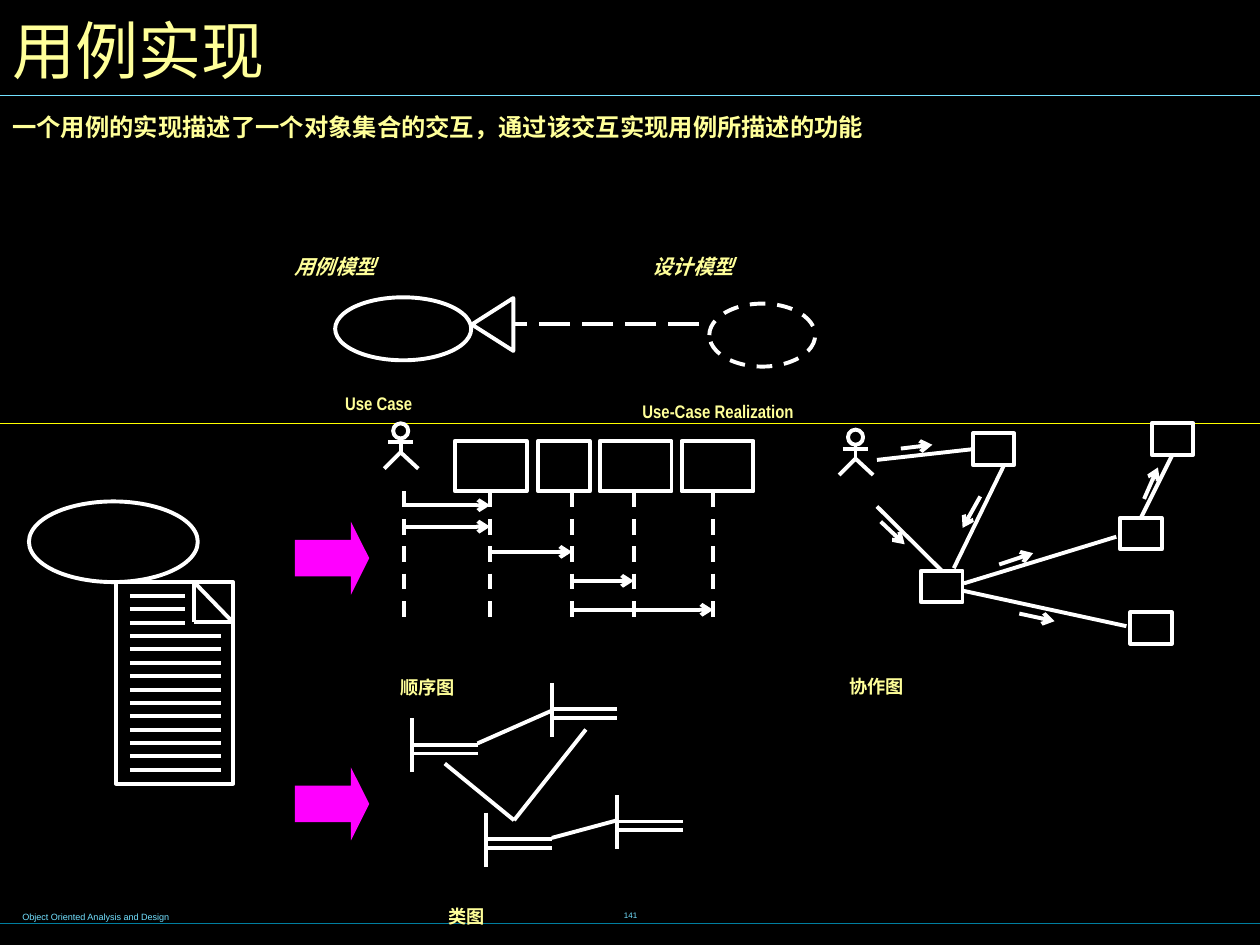
from dataclasses import dataclass

from lxml.etree import SubElement
from pptx import Presentation
from pptx.dml.color import RGBColor as RGB
from pptx.enum.dml import MSO_LINE as Dash
from pptx.enum.shapes import MSO_CONNECTOR as Link, MSO_SHAPE as Kind
from pptx.enum.text import MSO_ANCHOR as Anchor, PP_ALIGN as Align
from pptx.oxml.ns import qn
from pptx.util import Inches, Pt


@dataclass(frozen=True)
class Theme:
    back: RGB = RGB(0, 0, 0)
    ink: RGB = RGB(255, 255, 255)
    text: RGB = RGB(0xFF, 0xFF, 0x99)
    sky: RGB = RGB(0x73, 0xE1, 0xFF)
    teal: RGB = RGB(0, 0x7E, 0x9F)
    gold: RGB = RGB(255, 255, 0)
    pink: RGB = RGB(255, 0, 255)
    label: str = "Arial Narrow"
    small: str = "Arial"
    head: str = "Times New Roman"
    title: int = 36
    lead: int = 24
    model: int = 20
    name: int = 18
    foot: int = 9
    page: int = 8
    thick: float = 2.25
    thin: float = 0.75


T = Theme()


class Pen:
    """Draws into a shape tree, measuring in inches from the corner (x, y)."""

    def __init__(self, tree, x=0, y=0):
        self.tree, self.x, self.y = tree, x, y

    def at(self, x, y):
        return Inches(self.x + x), Inches(self.y + y)

    def stroke(self, line, color, width, dash):
        line.color.rgb = color
        line.width = Pt(width)
        if dash:
            line.dash_style = dash

    def line(self, x1, y1, x2, y2, color=T.ink, width=T.thick, dash=None,
             arrow=False):
        link = self.tree.add_connector(
            Link.STRAIGHT, *self.at(x1, y1), *self.at(x2, y2))
        self.stroke(link.line, color, width, dash)
        if arrow:
            SubElement(link.line._get_or_add_ln(), qn("a:tailEnd"), type="arrow")
        SubElement(link._element.spPr, qn("a:effectLst"))
        return link

    def shape(self, kind, x, y, w, h, dash=None, fill=None):
        item = self.tree.add_shape(kind, *self.at(x, y), Inches(w), Inches(h))
        item.shadow.inherit = False
        if fill:
            item.fill.solid()
            item.fill.fore_color.rgb = fill
            item.line.fill.background()
        else:
            item.fill.background()
            self.stroke(item.line, T.ink, T.thick, dash)
        return item

    def text(self, words, x, y, w, h, size=T.name, font=T.label, color=T.text,
             bold=True, italic=False):
        """Adds a text box whose words are lowered like a subscript."""
        box = self.tree.add_textbox(*self.at(x, y), Inches(w), Inches(h))
        frame = box.text_frame
        frame.word_wrap = True
        para = frame.paragraphs[0]
        run = para.add_run()
        run.text = words
        run._r.get_or_add_rPr().set("baseline", "-25000")
        style(para, size, font, color, bold, italic)
        return box


def style(para, size, font, color, bold=False, italic=False):
    face = para.font
    face.size, face.name, face.bold, face.italic = Pt(size), font, bold, italic
    face.color.rgb = color


def frame(slide, pen):
    """Title, lead sentence, rules and footer."""
    title = slide.shapes.title
    title.left, title.top = pen.at(0, 0)
    title.width, title.height = Inches(9.93), Inches(0.78)
    title.text_frame.text = "用例实现"
    title.text_frame.vertical_anchor = Anchor.MIDDLE
    para = title.text_frame.paragraphs[0]
    para.alignment = Align.LEFT
    style(para, T.title, T.head, T.text)

    for y, color in ((0.76, T.sky), (3.36, T.gold), (7.33, T.teal)):
        pen.line(0, y, 10, y, color, T.thin)
    pen.text("一个用例的实现描述了一个对象集合的交互，通过该交互实现用例所描述的功能",
             0, 0.62, 10, 0.91, T.lead)
    pen.text("Object Oriented Analysis and Design", 0.08, 7.1, 5.1, 0.25,
             T.foot, T.small, T.sky, False)
    page = pen.text("141", 3.42, 6.98, 3.17, 0.5, T.page, T.small, T.sky, False)
    page.text_frame.vertical_anchor = Anchor.MIDDLE
    page.text_frame.paragraphs[0].alignment = Align.CENTER


def models(pen):
    """Use case on the left, its dashed realization on the right."""
    pen.text("用例模型", 0, 0, 2.83, 0.43, T.model, italic=True)
    pen.text("设计模型", 2.84, 0, 2.2, 0.43, T.model, italic=True)
    pen.shape(Kind.OVAL, 0.42, 0.58, 1.08, 0.5)
    pen.shape(Kind.OVAL, 3.39, 0.63, 0.84, 0.5, Dash.DASH)
    pen.line(3.31, 0.79, 1.82, 0.79, dash=Dash.LONG_DASH)
    pen.shape(Kind.ISOSCELES_TRIANGLE, 1.46, 0.63, 0.42, 0.33).rotation = 270
    pen.text("Use Case", 0.4, 1.12, 1.14, 0.4)
    pen.text("Use-Case Realization", 2.76, 1.18, 2.3, 0.4)


def actor(pen, x, y):
    mid = x + 0.13
    pen.shape(Kind.OVAL, x + 0.07, y, 0.12, 0.12)
    pen.line(mid, y + 0.12, mid, y + 0.23)
    pen.line(x + 0.03, y + 0.15, x + 0.23, y + 0.15)
    legs = pen.tree.build_freeform(*pen.at(x, y + 0.36))
    legs.add_line_segments(
        [pen.at(mid, y + 0.23), pen.at(x + 0.27, y + 0.36)], close=False)
    item = legs.convert_to_shape()
    item.shadow.inherit = False
    item.fill.background()
    pen.stroke(item.line, T.ink, T.thick, None)


def sequence(pen):
    actor(pen, 0, 0)
    for x, w in ((0.56, 0.57), (1.22, 0.41), (1.71, 0.57), (2.36, 0.57)):
        pen.shape(Kind.RECTANGLE, x, 0.14, w, 0.4)
    lives = (0.16, 0.84, 1.49, 1.98, 2.61)
    for x in lives:
        pen.line(x, 0.54, x, 1.59, dash=Dash.DASH)
    for a, b, y in ((0, 1, 0.65), (0, 1, 0.82), (1, 2, 1.02),
                    (2, 3, 1.25), (2, 4, 1.48)):
        pen.line(lives[a], y, lives[b], y, arrow=True)
    pen.text("顺序图", 0.03, 1.79, 2.87, 0.4)


def collab(pen):
    """Collaboration diagram: objects, links and message arrows."""
    actor(pen, 0.02, 0.05)
    spots = ((1.08, 0.08), (0.67, 1.17), (2.33, 1.5), (2.25, 0.75), (2.5, 0))
    first, hub, _, mid, last = [
        pen.shape(Kind.RECTANGLE, x, y, 0.33, 0.25) for x, y in spots]
    pen.line(0.32, 0.66, 0.83, 1.17).end_connect(hub, 0)
    pen.line(0.32, 0.29, 1.09, 0.2).end_connect(first, 1)
    rise = pen.line(2.44, 0.75, 2.66, 0.23)
    rise.begin_connect(mid, 0)
    rise.end_connect(last, 2)
    for ends in ((1.01, 1.33, 2.3, 1.61), (1.01, 1.27, 2.22, 0.9),
                 (1.33, 0.33, 0.93, 1.15)):
        pen.line(*ends)
    for ends in ((0.35, 0.78, 0.54, 0.96), (1.14, 0.58, 1, 0.83),
                 (1.29, 1.12, 1.56, 1.03), (1.45, 1.51, 1.73, 1.57),
                 (2.44, 0.6, 2.55, 0.35), (0.51, 0.2, 0.76, 0.17)):
        pen.line(*ends, arrow=True)
    pen.text("协作图", 0, 1.78, 2.87, 0.4)


def classes(pen):
    for x, y in ((0, 0.28), (1.11, 0), (0.59, 1.03), (1.63, 0.89)):
        pen.line(x, y, x, y + 0.43)
        for drop in (0.21, 0.28):
            pen.line(x, y + drop, x + 0.52, y + drop)
    for ends in ((0.81, 1.09, 0.26, 0.64), (0.52, 0.48, 1.11, 0.22),
                 (1.11, 1.23, 1.63, 1.09), (0.81, 1.09, 1.38, 0.37)):
        pen.line(*ends)
    pen.text("类图", 0.19, 1.55, 0.71, 0.4)


def document(pen):
    """Use case with its written description below."""
    pen.shape(Kind.OVAL, 0, 0, 1.34, 0.64)
    pen.shape(Kind.RECTANGLE, 0.69, 0.64, 0.93, 1.6)
    for ends in ((1.31, 0.64, 1.62, 0.96), (1.31, 0.64, 1.31, 0.96),
                 (1.62, 0.96, 1.31, 0.96)):
        pen.line(*ends)
    for row in range(14):
        y = 0.75 + row * 1.38 / 13
        pen.line(0.8, y, 1.24 if row < 3 else 1.52, y)


def arrows(pen):
    for y in (0, 1.95):
        arrow = pen.shape(Kind.RIGHT_ARROW, 0, y, 0.59, 0.58, fill=T.pink)
        arrow.adjustments[0], arrow.adjustments[1] = 0.5, 0.25


def main():
    deck = Presentation()
    deck.slide_width, deck.slide_height = Inches(10), Inches(7.5)
    slide = deck.slides.add_slide(deck.slide_layouts[5])
    slide.background.fill.solid()
    slide.background.fill.fore_color.rgb = T.back
    frame(slide, Pen(slide.shapes))
    for draw, x, y in ((classes, 3.27, 5.42), (sequence, 3.05, 3.36),
                       (models, 2.24, 1.78), (collab, 6.64, 3.36),
                       (arrows, 2.34, 4.14), (document, 0.23, 3.98)):
        draw(Pen(slide.shapes.add_group_shape().shapes, x, y))
    deck.save("out.pptx")


if __name__ == "__main__":
    main()
